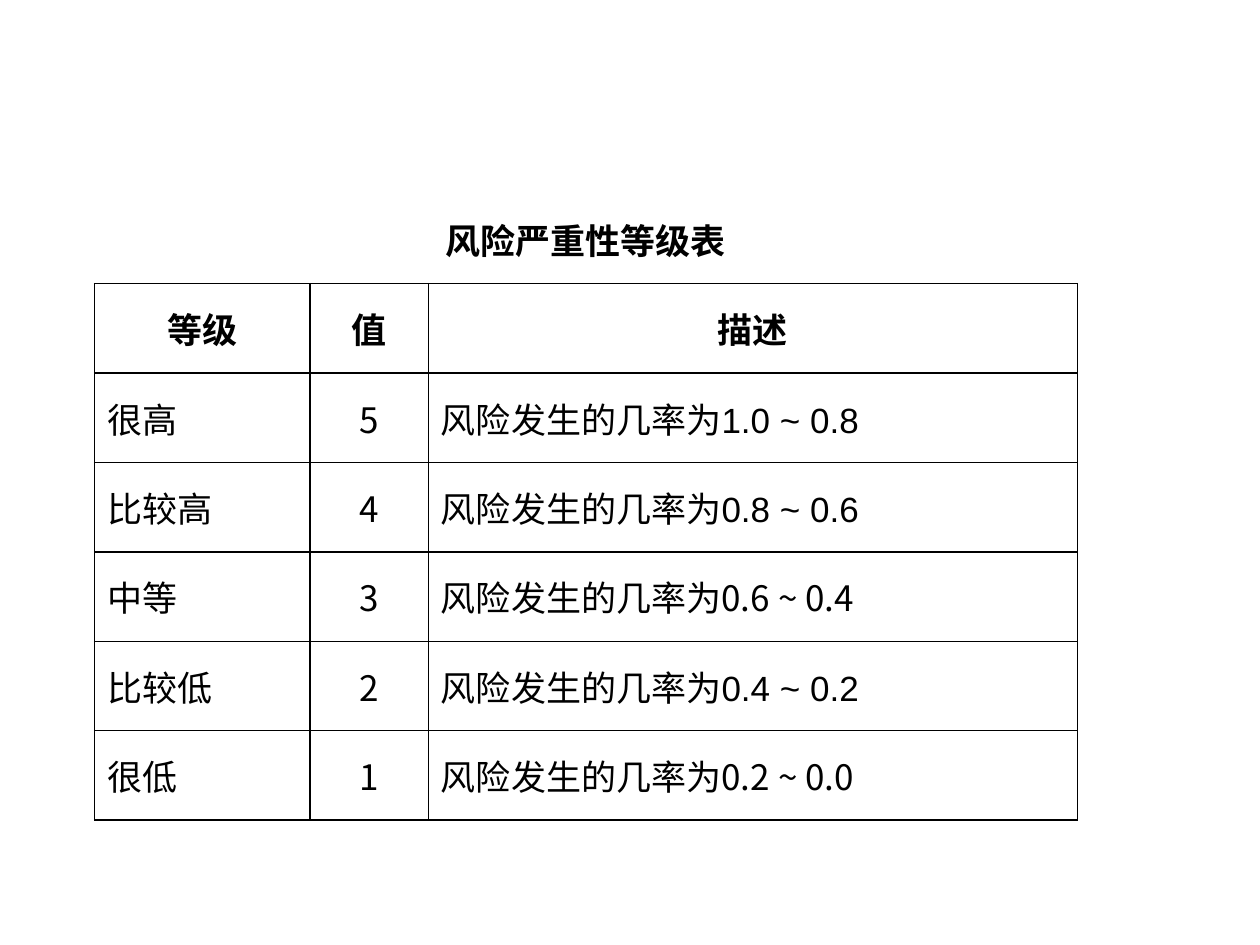
"""Build a slide with a table of risk severity levels."""
import lxml.etree
import pptx
import pptx.dml.color
import pptx.enum.text
import pptx.oxml.ns
import pptx.util

Inches = pptx.util.Inches
ALIGN = pptx.enum.text.PP_ALIGN
CJK = "Noto Sans CJK SC"
BLACK = "000000"
TITLE = "风险严重性等级表"
HEADINGS = ["等级", "值", "描述"]
PREFIX = "风险发生的几率为"
LEVELS = [
    ("很高", "5", "1.0 ~ 0.8", "Arial"),
    ("比较高", "4", "0.8 ~ 0.6", "Arial"),
    ("中等", "3", "0.6 ~ 0.4", CJK),
    ("比较低", "2", "0.4 ~ 0.2", "Arial"),
    ("很低", "1", "0.2 ~ 0.0", CJK),
]
COLUMN_WIDTHS = [1.71, 0.94, 5.15]
ROW_HEIGHT = 0.71


def color(value):
    """Return the colour for a hex string."""
    return pptx.dml.color.RGBColor.from_string(value)


def add_child(parent, tag, **attributes):
    """Append a drawing element with attributes to a parent."""
    return lxml.etree.SubElement(parent, pptx.oxml.ns.qn(tag), attributes)


def set_borders(cell, sides):
    """Draw thin black lines on the given sides and none on the others."""
    properties = cell._tc.get_or_add_tcPr()
    for side in "LRTB":
        line = add_child(properties, f"a:ln{side}", w=str(pptx.util.Pt(1)))
        if side in sides:
            fill = add_child(line, "a:solidFill")
            add_child(fill, "a:srgbClr", val=BLACK)
        else:
            add_child(line, "a:noFill")


def add_span(para, text, font=CJK, bold=False):
    """Add a formatted run to a paragraph."""
    span = para.add_run()
    span.text = text
    formats = {"name": font, "size": pptx.util.Pt(20), "bold": bold}
    for name, value in formats.items():
        setattr(span.font, name, value)
    span.font.color.rgb = color(BLACK)
    add_child(span.font._element, "a:ea", typeface=CJK)


def fill_cell(cell, spans, align=ALIGN.LEFT, bold=False):
    """Write (text, font) spans into a cell."""
    formats = {
        "vertical_anchor": pptx.enum.text.MSO_ANCHOR.MIDDLE,
        "margin_left": Inches(0.1),
        "margin_right": Inches(0.1),
    }
    for name, value in formats.items():
        setattr(cell, name, value)
    para = cell.text_frame.paragraphs[0]
    para.alignment = align
    for text, font in spans:
        add_span(para, text, font, bold)


def add_grid(page, row_count):
    """Add a plain table whose first row is a merged, open title row."""
    box = page.shapes.add_table(
        row_count, len(COLUMN_WIDTHS), Inches(0.75), Inches(1.55),
        Inches(sum(COLUMN_WIDTHS)), Inches(ROW_HEIGHT * row_count))
    table = box.table
    for name in ("first_row", "horz_banding"):
        setattr(table, name, False)
    for column, width in zip(table.columns, COLUMN_WIDTHS):
        column.width = Inches(width)
    for index, row in enumerate(table.rows):
        row.height = Inches(ROW_HEIGHT if index else 0.7)
        for cell in row.cells:
            set_borders(cell, "LRTB" if index else "B")
            cell.fill.background()
    table.cell(0, 0).merge(table.cell(0, len(COLUMN_WIDTHS) - 1))
    return table


def main():
    """Build and save the deck."""
    deck = pptx.Presentation()
    deck.slide_width, deck.slide_height = Inches(10), Inches(7.5)
    page = deck.slides.add_slide(deck.slide_layouts[6])
    table = add_grid(page, len(LEVELS) + 2)
    fill_cell(table.cell(0, 0), [(TITLE, CJK)], ALIGN.CENTER, True)
    for column, heading in enumerate(HEADINGS):
        fill_cell(table.cell(1, column), [(heading, CJK)], ALIGN.CENTER, True)
    for row, (level, value, chance, font) in enumerate(LEVELS, start=2):
        fill_cell(table.cell(row, 0), [(level, CJK)])
        fill_cell(table.cell(row, 1), [(value, CJK)], ALIGN.CENTER)
        fill_cell(table.cell(row, 2), [(PREFIX, CJK), (chance, font)])
    deck.save("out.pptx")


if __name__ == "__main__":
    main()
